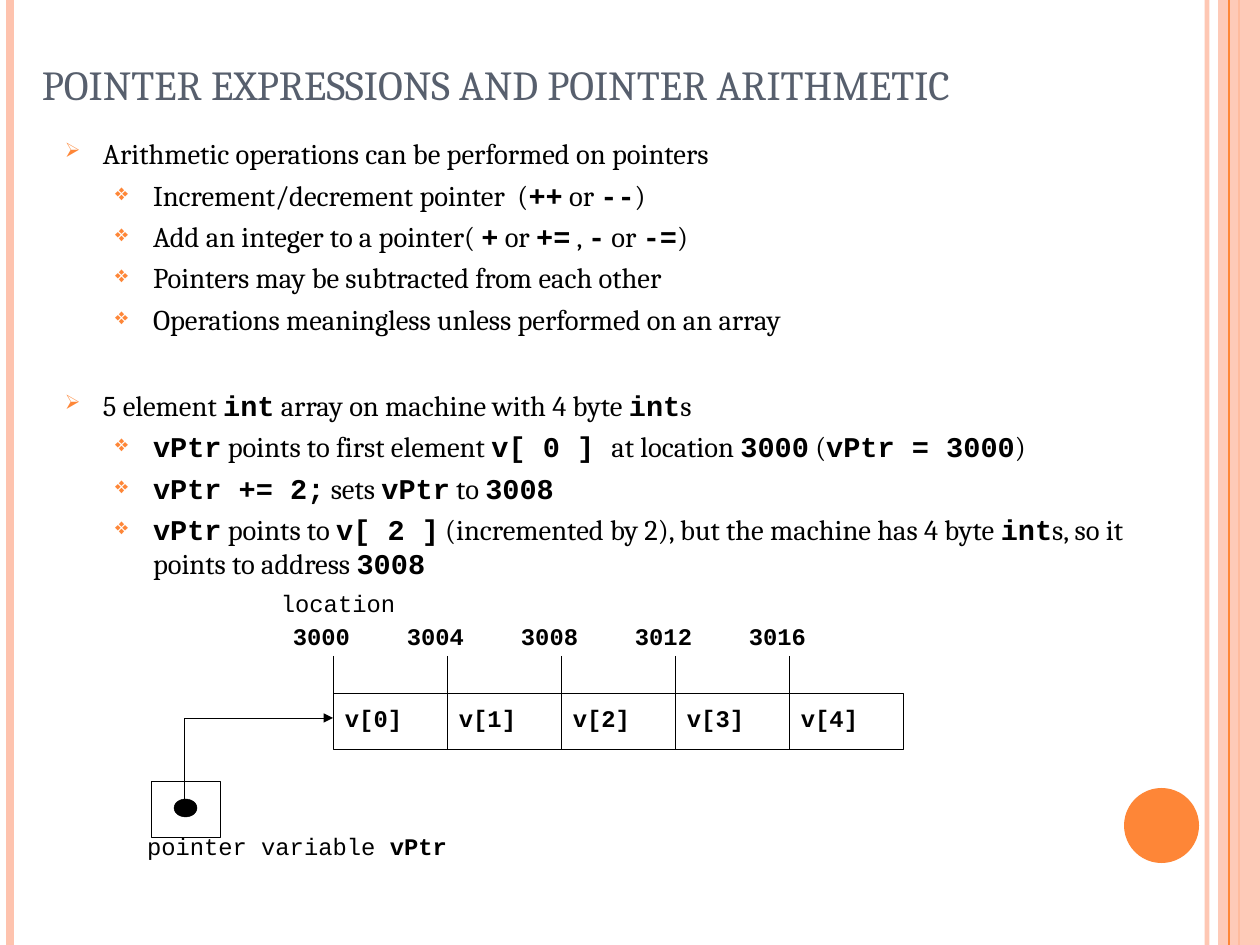
from lxml import etree
from pptx import Presentation
from pptx import util as u
from pptx.dml.color import RGBColor
from pptx.enum import shapes, text
from pptx.oxml.ns import qn

PX = 8000  # EMU in one px
WIDTH, HEIGHT = 1260, 945
BLACK = RGBColor(0x00, 0x00, 0x00)
SLATE = RGBColor(0x57, 0x5F, 0x6D)
ORANGE = RGBColor(0xFE, 0x86, 0x37)
PEACH = RGBColor(0xFE, 0xC3, 0xAE)
SERIF, MONO = "Cambria", "Courier New"
HAIRLINE = 0.25

# Level, space before in points, wording; backticks enclose code.
POINTS = [
    (0, 6.6, "Arithmetic operations can be performed on pointers"),
    (1, 4.5, "Increment/decrement pointer  (`++` or `--`)"),
    (1, 4.5, "Add an integer to a pointer( `+` or `+=` , `-` or `-=`)"),
    (1, 4.5, "Pointers may be subtracted from each other"),
    (1, 4.5, "Operations meaningless unless performed on an array"),
    (0, 32.5, "5 element `int` array on machine with 4 byte `int`s"),
    (1, 4.5, "`vPtr` points to first element `v[ 0 ] `at location `3000` (`vPtr = 3000`)"),
    (1, 4.5, "`vPtr += 2;` sets `vPtr` to `3008`"),
    (1, 4.5, "`vPtr` points to `v[ 2 ]` (incremented by 2), but the machine has "
             "4 byte `int`s, so it points to address `3008`"),
]
# Left margin in px, bullet character, bullet size in percent of the text.
LEVELS = [(38, "➢", 70), (88, "❖", 80)]
HANGING = 38


def add_child(parent, tag, **attributes):
    return etree.SubElement(parent, qn(tag), attributes)


def set_opacity(shape, percent):
    for color in shape._element.spPr.iter(qn("a:srgbClr")):
        add_child(color, "a:alpha", val=str(percent * 1000))


class Canvas:
    """Draws on one slide, with every length given in px."""

    def __init__(self, slide):
        self.shapes = slide.shapes

    def line(self, start, end, color=BLACK, weight=HAIRLINE):
        ends = [value * PX for value in (*start, *end)]
        line = self.shapes.add_connector(shapes.MSO_CONNECTOR.STRAIGHT, *ends)
        line.line.color.rgb = color
        line.line.width = u.Pt(weight)
        add_child(line._element.spPr, "a:effectLst")
        return line

    def shape(self, kind, box, fill=None, outline=None):
        shape = self.shapes.add_shape(kind, *(value * PX for value in box))
        self.paint(shape, fill, outline)
        return shape

    def paint(self, shape, fill, outline):
        shape.shadow.inherit = False
        if fill is None:
            shape.fill.background()
        else:
            shape.fill.solid()
            shape.fill.fore_color.rgb = fill
        if outline is None:
            shape.line.fill.background()
        else:
            shape.line.color.rgb = outline
            shape.line.width = u.Pt(HAIRLINE)

    def arrow(self, start, *bends):
        builder = self.shapes.build_freeform(*start, scale=PX)
        builder.add_line_segments(bends, close=False)
        arrow = builder.convert_to_shape()
        self.paint(arrow, None, BLACK)
        outline = arrow._element.spPr.find(qn("a:ln"))
        add_child(outline, "a:tailEnd", type="triangle")

    def frame(self, box, inset=(0, 0)):
        frame = self.shapes.add_textbox(*(value * PX for value in box)).text_frame
        frame.word_wrap = True
        frame.margin_left = frame.margin_right = inset[0] * PX
        frame.margin_top = frame.margin_bottom = inset[1] * PX
        return frame

    def add_runs(self, paragraph, wording, size, font, color=BLACK):
        """Adds runs, with the parts between backticks in bold code type."""
        for index, part in enumerate(wording.split("`")):
            if part:
                is_code = index % 2 == 1
                run = paragraph.add_run()
                run.text = part
                run.font.size = u.Pt(size)
                run.font.name = MONO if is_code else font
                run.font.bold = is_code
                run.font.color.rgb = color

    def title(self, box, wording):
        frame = self.frame(box, (12, 7))
        frame.vertical_anchor = text.MSO_ANCHOR.BOTTOM
        self.add_runs(frame.paragraphs[0], wording, 26, SERIF, SLATE)

    def label(self, box, wording):
        self.add_runs(self.frame(box).paragraphs[0], wording, 15, MONO)

    def bullets(self, box, points):
        frame = self.frame(box, (12, 7))
        for index, (level, space, wording) in enumerate(points):
            paragraph = frame.add_paragraph() if index else frame.paragraphs[0]
            paragraph.level = level
            paragraph.space_before = u.Pt(space)
            margin, character, percent = LEVELS[level]
            properties = paragraph._p.get_or_add_pPr()
            properties.set("marL", str(margin * PX))
            properties.set("indent", str(-HANGING * PX))
            bullet_color = add_child(properties, "a:buClr")
            add_child(bullet_color, "a:srgbClr", val=str(ORANGE))
            add_child(properties, "a:buSzPct", val=str(percent * 1000))
            add_child(properties, "a:buChar", char=character)
            self.add_runs(paragraph, wording, 18, SERIF)


def draw_border(canvas):
    def stripe(x, color, weight):
        return canvas.line((x, 0), (x, HEIGHT), color, weight)

    set_opacity(stripe(1207, PEACH, 3), 93)
    stripe(10, PEACH, 4.5)
    stripe(1239, ORANGE, 1.5)
    band = canvas.shape(shapes.MSO_SHAPE.RECTANGLE, (1218, 0, 42, HEIGHT), PEACH)
    set_opacity(band, 87)
    stripe(1229, ORANGE, 0.75)
    canvas.shape(shapes.MSO_SHAPE.OVAL, (1124, 788, 75, 75), ORANGE)


def draw_memory(canvas):
    left, top, cell_width, cell_height = 333, 693, 114, 56
    canvas.label((281, 589, 154, 37), "location")
    for index in range(5):
        x = left + index * cell_width
        canvas.label((x - 40, 622, 90, 40), f"`{3000 + 4 * index}`")
        canvas.line((x, 656), (x, top))
        cell = (x, top, cell_width, cell_height)
        canvas.shape(shapes.MSO_SHAPE.RECTANGLE, cell, outline=BLACK)
        canvas.label((x + 12, 704, 90, 40), f"`v[{index}]`")

    pointer = (151, 781, 69, cell_height)
    canvas.shape(shapes.MSO_SHAPE.RECTANGLE, pointer, outline=BLACK)
    canvas.shape(shapes.MSO_SHAPE.OVAL, (174, 799, 23, 18), BLACK, BLACK)
    canvas.arrow((184, 800), (184, 718), (left, 718))
    canvas.label((147, 832, 400, 40), "pointer variable `vPtr`")


def main():
    deck = Presentation()
    deck.slide_width, deck.slide_height = WIDTH * PX, HEIGHT * PX
    canvas = Canvas(deck.slides.add_slide(deck.slide_layouts[6]))
    draw_border(canvas)
    canvas.title((30, 38, 1134, 78), "POINTER EXPRESSIONS AND POINTER ARITHMETIC")
    canvas.bullets((53, 129, 1134, 743), POINTS)
    draw_memory(canvas)
    deck.save("out.pptx")


if __name__ == "__main__":
    main()
